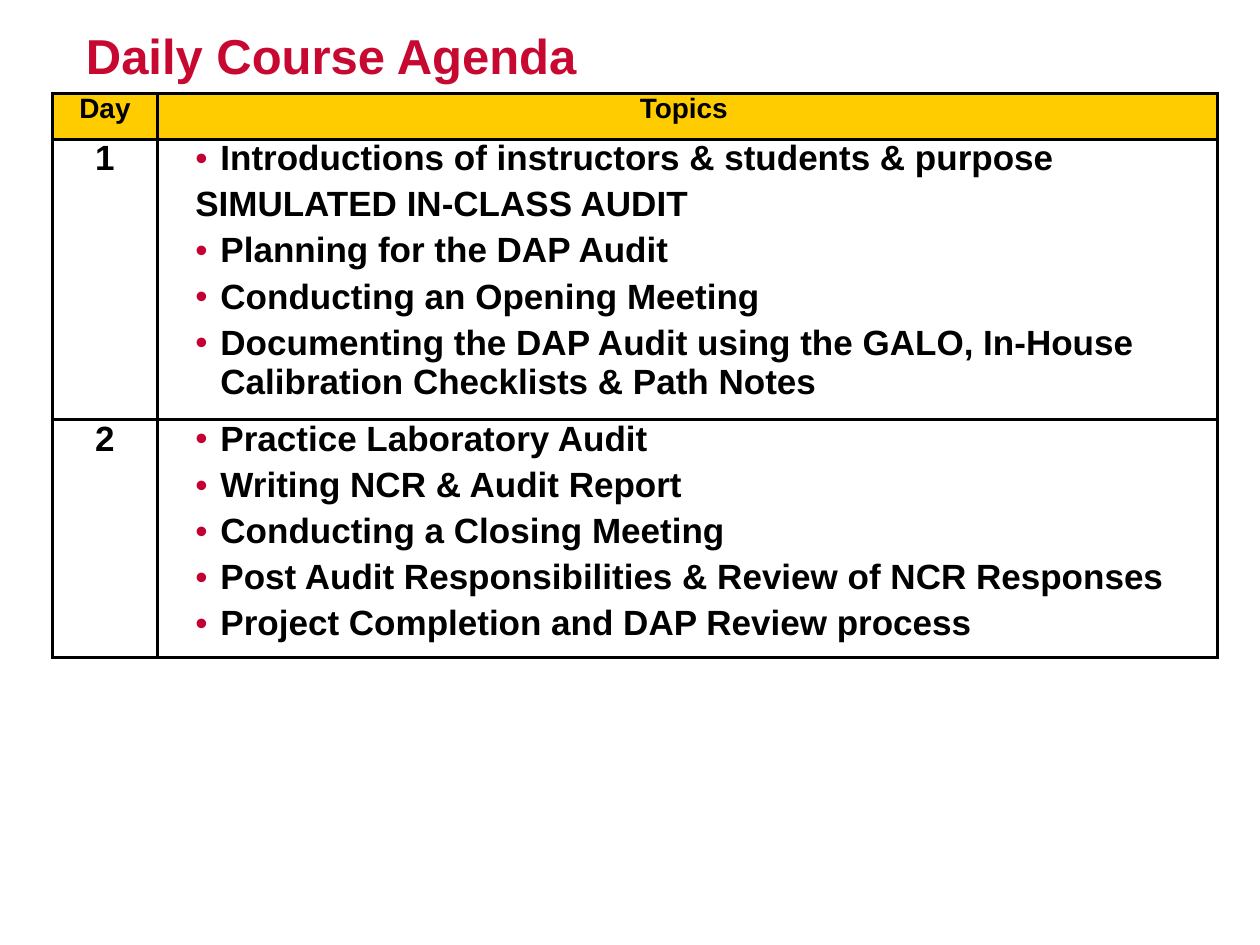
from dataclasses import dataclass

from lxml.etree import SubElement
from pptx import Presentation
from pptx.dml.color import RGBColor
from pptx.enum.text import PP_ALIGN
from pptx.oxml.ns import qn
from pptx.util import Pt


@dataclass(frozen=True)
class Theme:
    font: str = "Arial"
    title_color: str = "C70932"
    bullet_color: str = "C30034"
    header_fill: str = "FFCC00"
    ink: str = "000000"
    title_size: float = 28
    header_size: float = 16
    body_size: float = 20
    border: float = 2


class AgendaSlide:
    """Draws agenda elements on one slide in a shared theme."""

    def __init__(self, slide, theme):
        self.slide = slide
        self.theme = theme

    def add_words(self, paragraph, text, size, color):
        run = paragraph.add_run()
        run.text = text
        style = {"name": self.theme.font, "size": Pt(size), "bold": True}
        for name, value in style.items():
            setattr(run.font, name, value)
        run.font.color.rgb = RGBColor.from_string(color)

    def indent(self, paragraph, margin, first_line):
        properties = paragraph._p.get_or_add_pPr()
        properties.set("marL", str(Pt(margin)))
        properties.set("indent", str(Pt(first_line)))
        return properties

    def title(self, text, left, top, width, height):
        frame = self.slide.shapes.add_textbox(Pt(left), Pt(top), Pt(width), Pt(height)).text_frame
        frame.word_wrap = True
        frame.margin_top = Pt(6.5)
        self.add_words(frame.paragraphs[0], text, self.theme.title_size, self.theme.title_color)

    def table(self, left, top, widths, heights):
        table = self.slide.shapes.add_table(
            len(heights), len(widths), Pt(left), Pt(top), Pt(sum(widths)), Pt(sum(heights))
        ).table
        table.first_row = table.horz_banding = False
        for column, width in zip(table.columns, widths):
            column.width = Pt(width)
        for row, height in zip(table.rows, heights):
            row.height = Pt(height)
        for cell in table.iter_cells():
            self.frame_cell(cell)
        return table

    def frame_cell(self, cell):
        for side in ("left", "top", "right", "bottom"):
            setattr(cell, f"margin_{side}", 0)
        properties = cell._tc.get_or_add_tcPr()
        for edge in ("lnL", "lnR", "lnT", "lnB"):
            line = SubElement(properties, qn(f"a:{edge}"), w=str(Pt(self.theme.border)))
            paint = SubElement(line, qn("a:solidFill"))
            SubElement(paint, qn("a:srgbClr"), val=self.theme.ink)
        cell.fill.background()

    def label(self, cell, text, size):
        paragraph = cell.text_frame.paragraphs[0]
        self.indent(paragraph, 27, -27)
        paragraph.alignment = PP_ALIGN.CENTER
        self.add_words(paragraph, text, size, self.theme.ink)

    def header(self, cell, text):
        cell.fill.solid()
        cell.fill.fore_color.rgb = RGBColor.from_string(self.theme.header_fill)
        self.label(cell, text, self.theme.header_size)

    def topics(self, cell, topics):
        frame = cell.text_frame
        for index, topic in enumerate(topics):
            paragraph = frame.add_paragraph() if index else frame.paragraphs[0]
            if topic.isupper():
                properties = self.indent(paragraph, 21.6, 0)
                SubElement(properties, qn("a:buNone"))
            else:
                properties = self.indent(paragraph, 36, -14.4)
                bullet_paint = SubElement(properties, qn("a:buClr"))
                SubElement(bullet_paint, qn("a:srgbClr"), val=self.theme.bullet_color)
                SubElement(properties, qn("a:buFont"), typeface=self.theme.font)
                SubElement(properties, qn("a:buChar"), char="•")
            tabs = SubElement(properties, qn("a:tabLst"))
            SubElement(tabs, qn("a:tab"), pos=str(Pt(18)), algn="l")
            paragraph.space_before = Pt(2 if index else 0)
            paragraph.space_after = Pt(2)
            self.add_words(paragraph, topic, self.theme.body_size, self.theme.ink)


HEADINGS = ("Day", "Topics ")
DAYS = {
    "1": (
        "Introductions of instructors & students & purpose",
        "SIMULATED IN-CLASS AUDIT",
        "Planning for the DAP Audit",
        "Conducting an Opening Meeting",
        "Documenting the DAP Audit using the GALO, In-House Calibration Checklists & Path Notes",
    ),
    "2": (
        "Practice Laboratory Audit",
        "Writing NCR & Audit Report",
        "Conducting a Closing Meeting",
        "Post Audit Responsibilities & Review of NCR Responses",
        "Project Completion and DAP Review process",
    ),
}


def main():
    presentation = Presentation()
    presentation.slide_width = Pt(720)
    presentation.slide_height = Pt(540)
    theme = Theme()
    agenda = AgendaSlide(presentation.slides.add_slide(presentation.slide_layouts[6]), theme)

    agenda.title("Daily Course Agenda", 42, 8, 660, 70)
    schedule = agenda.table(30, 53.5, (60, 606), (26, 124.5, 124.5))
    for column, heading in enumerate(HEADINGS):
        agenda.header(schedule.cell(0, column), heading)
    for row, (day, topics) in enumerate(DAYS.items(), start=1):
        agenda.label(schedule.cell(row, 0), day, theme.body_size)
        agenda.topics(schedule.cell(row, 1), topics)

    presentation.save("out.pptx")


if __name__ == "__main__":
    main()
